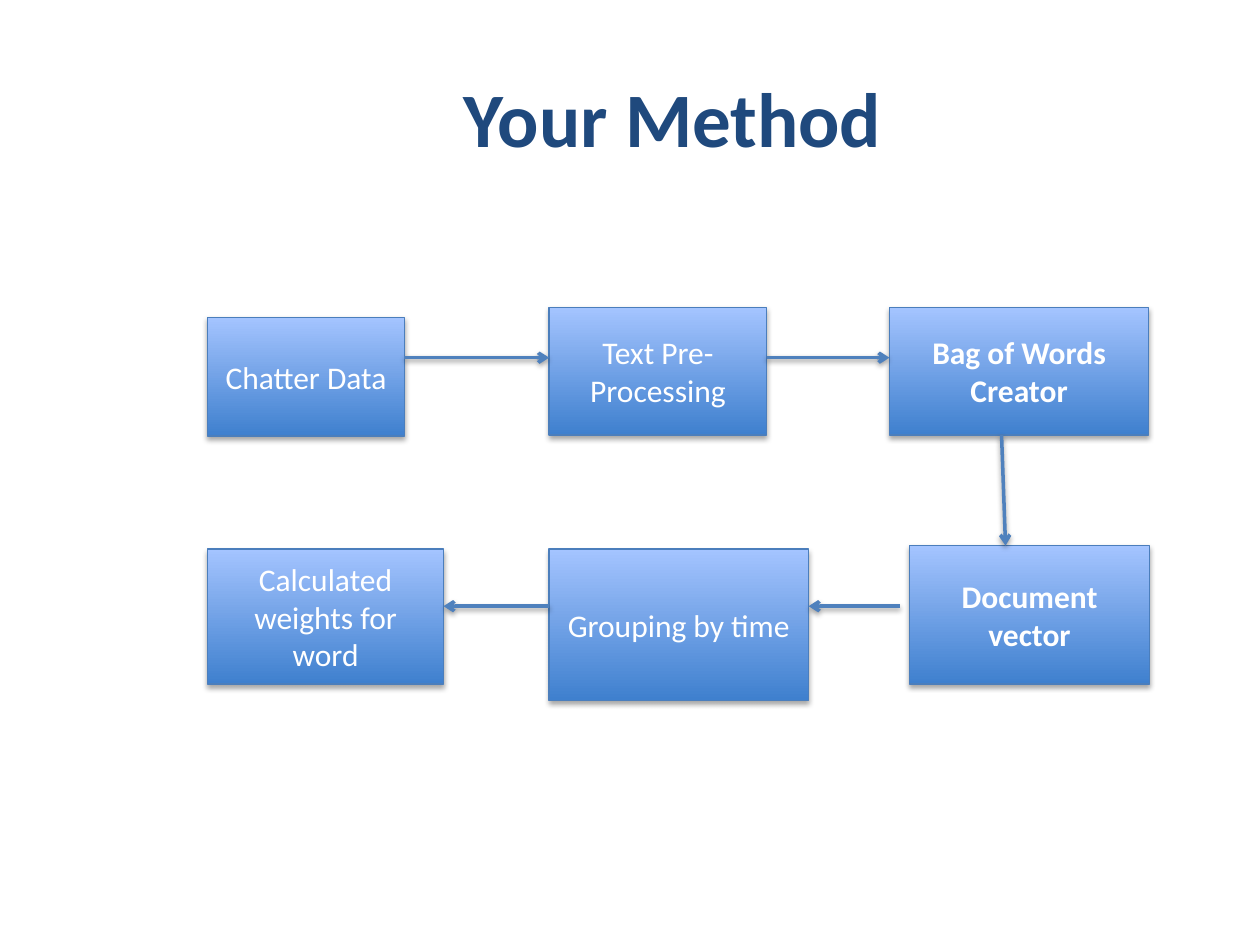
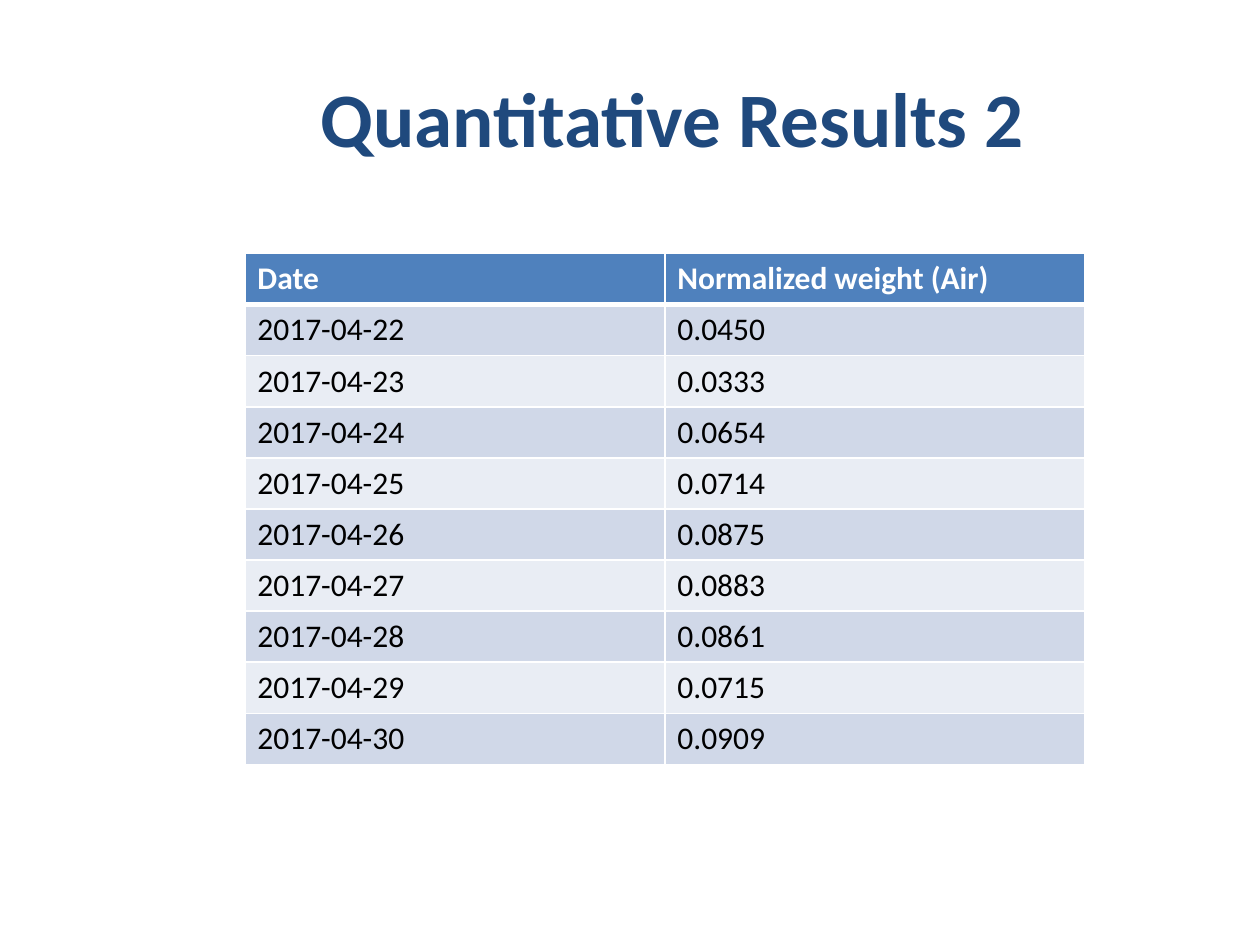
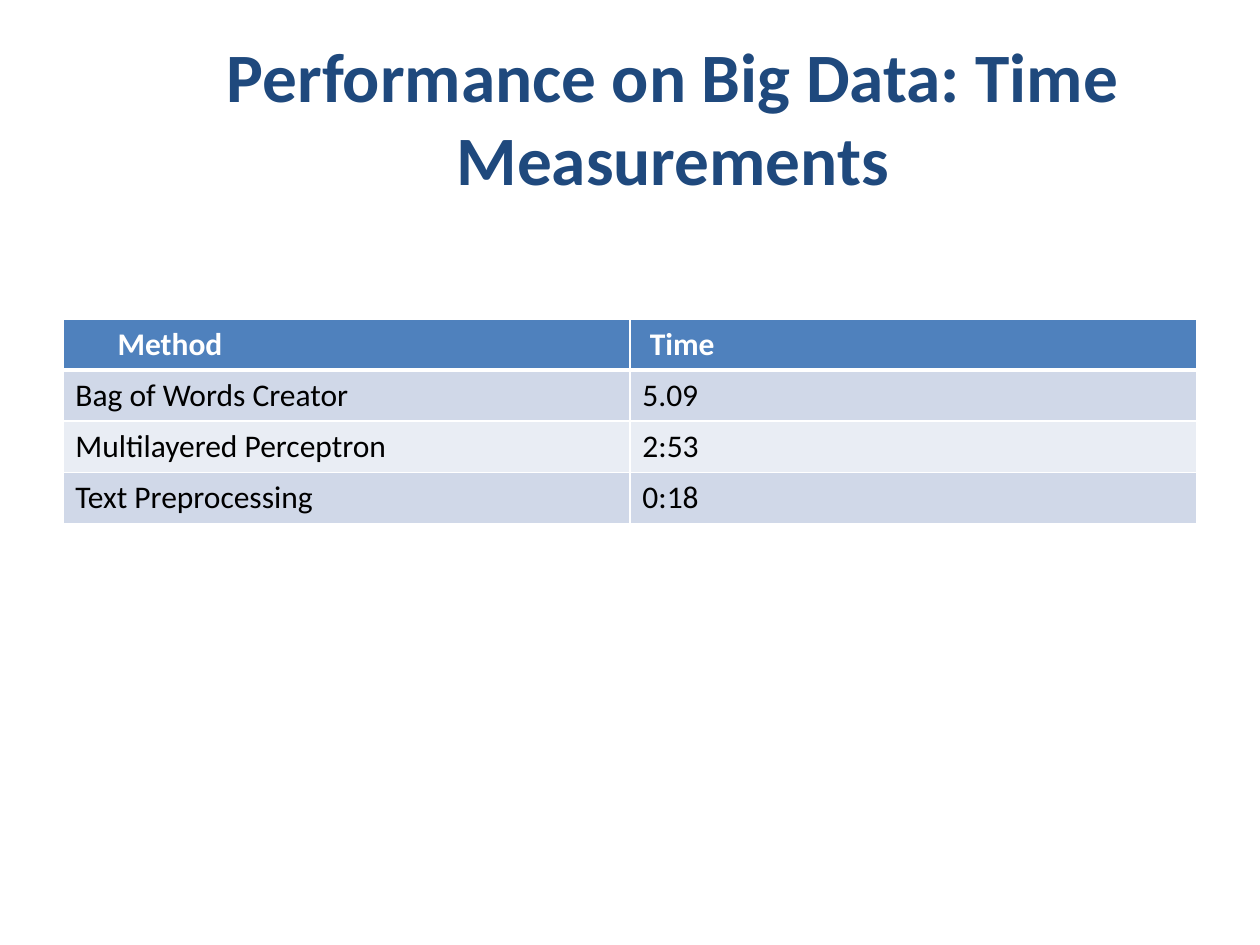
from lxml import etree
from pptx import Presentation
from pptx.dml.color import RGBColor
from pptx.enum.shapes import MSO_CONNECTOR as Connector, MSO_SHAPE as Preset
from pptx.enum.text import MSO_ANCHOR as Anchor, MSO_AUTO_SIZE as AutoSize, PP_ALIGN as Align
from pptx.oxml.ns import qn
from pptx.util import Cm, Pt

FONT = "Calibri"
WHITE = RGBColor(0xFF, 0xFF, 0xFF)
BLACK = RGBColor(0x00, 0x00, 0x00)
NAVY = RGBColor(0x1F, 0x49, 0x7D)
BLUE = RGBColor(0x4F, 0x81, 0xBD)
OUTLINE = RGBColor(0x4B, 0x7E, 0xBC)
GRADIENT = RGBColor(0x3F, 0x80, 0xCE), RGBColor(0xA4, 0xC4, 0xFF)
BANDS = RGBColor(0xD0, 0xD8, 0xE8), RGBColor(0xE9, 0xED, 0xF4)

TITLE_BOX = 3.0, 0.76, 21.13, 3.18  # left, top, width, height in cm
ROW_HEIGHT = 1.03
CELL_MARGIN = 0.25


def write(text_frame, text, size, color, bold=False, align=None):
    text_frame.text = text
    paragraph = text_frame.paragraphs[0]
    paragraph.alignment = align
    font = paragraph.runs[0].font
    font.name, font.size, font.bold = FONT, Pt(size), bold
    font.color.rgb = color


def add_shadow(shape, opacity, distance):
    """Soft black shadow straight below a shape or connector."""
    effects = etree.SubElement(shape._element.spPr, qn("a:effectLst"))
    shadow = etree.SubElement(effects, qn("a:outerShdw"), blurRad=str(Pt(3.1)),
                              dist=str(Pt(distance)), dir="5400000", rotWithShape="0")
    color = etree.SubElement(shadow, qn("a:srgbClr"), val=str(BLACK))
    etree.SubElement(color, qn("a:alpha"), val=str(opacity * 1000))


def add_titled_slide(presentation, text, size=44):
    slide = presentation.slides.add_slide(presentation.slide_layouts[5])
    title = slide.shapes.title
    title.left, title.top, title.width, title.height = map(Cm, TITLE_BOX)
    title.fill.solid()
    title.fill.fore_color.rgb = WHITE
    write(title.text_frame, text, size, NAVY, True, Align.CENTER)
    title.text_frame.auto_size = AutoSize.NONE
    title.text_frame.vertical_anchor = Anchor.MIDDLE
    return slide


def add_step(slide, left, top, width, height, text, bold):
    step = slide.shapes.add_shape(Preset.RECTANGLE, Cm(left), Cm(top), Cm(width), Cm(height))
    step.fill.gradient()
    step.fill.gradient_angle = 90
    for stop, color, position in zip(step.fill.gradient_stops, GRADIENT, (0, 1)):
        stop.color.rgb, stop.position = color, position
    step.line.color.rgb, step.line.width = OUTLINE, Pt(0.75)
    add_shadow(step, 35, 1.8)
    step.text_frame.word_wrap = True
    step.text_frame.vertical_anchor = Anchor.MIDDLE
    write(step.text_frame, text, 18, WHITE, bold, Align.CENTER)


def add_arrow(slide, *ends):
    arrow = slide.shapes.add_connector(Connector.STRAIGHT, *map(Cm, ends))
    arrow.line.color.rgb, arrow.line.width = BLUE, Pt(2)
    etree.SubElement(arrow.line._get_or_add_ln(), qn("a:tailEnd"), type="arrow")
    add_shadow(arrow, 38, 1.6)


def add_flow(slide, left, top):
    """Six steps: the upper row runs right, the lower row runs back left."""
    steps = [  # left, top, width, height, text, bold
        (0, 0.2, 3.96, 2.39, "Chatter Data", False),
        (6.88, 0, 4.39, 2.57, "Text Pre-Processing", False),
        (13.74, 0, 5.23, 2.57, "Bag of Words Creator", True),
        (14.15, 4.8, 4.83, 2.79, "Document vector", True),
        (6.88, 4.87, 5.23, 3.05, "Grouping by time", False),
        (0, 4.87, 4.75, 2.72, "Calculated weights for word", False),
    ]
    for x, y, *rest in steps:
        add_step(slide, left + x, top + y, *rest)

    data, cleaning, words, vector, grouping, weights = steps
    upper, lower = 1.01, 6.02  # heights of the arrows in each row
    arrows = [
        (data[0] + data[2], upper, cleaning[0], upper),
        (cleaning[0] + cleaning[2], upper, words[0], upper),
        (16, words[1] + words[3], 16.08, vector[1]),
        (vector[0] - 0.2, lower, grouping[0] + grouping[2], lower),
        (grouping[0], lower, weights[0] + weights[2], lower),
    ]
    for x1, y1, x2, y2 in arrows:
        add_arrow(slide, left + x1, top + y1, left + x2, top + y2)


def set_borders(cell, bottom):
    properties = cell._tc.get_or_add_tcPr()
    for index, (side, width) in enumerate((("L", 1), ("R", 1), ("T", 1), ("B", bottom))):
        line = etree.Element(qn(f"a:ln{side}"), w=str(Pt(width)))
        fill = etree.SubElement(line, qn("a:solidFill"))
        etree.SubElement(fill, qn("a:srgbClr"), val=str(WHITE))
        properties.insert(index, line)


def add_banded_table(slide, left, top, width, rows, anchor=Anchor.TOP, indents=(0, 0)):
    """Header row with optional indents, then rows in alternating bands."""
    columns = len(rows[0])
    table = slide.shapes.add_table(len(rows), columns, Cm(left), Cm(top), Cm(width),
                                   Cm(ROW_HEIGHT * len(rows))).table
    for row_index, row in enumerate(rows):
        header = row_index == 0
        for column, text in enumerate(row):
            cell = table.cell(row_index, column)
            cell.fill.solid()
            cell.fill.fore_color.rgb = BLUE if header else BANDS[(row_index - 1) % 2]
            cell.vertical_anchor = Anchor.TOP if header else anchor
            cell.margin_left = Cm(CELL_MARGIN + (indents[column] if header else 0))
            # The line under the header is thick on both sides of the edge
            set_borders(cell, 3 if header else 1)
            write(cell.text_frame, text, 18, WHITE if header else BLACK, header)
    for column in range(columns):  # header edge also belongs to the first body row
        edge = table.cell(1, column)._tc.tcPr.find(qn("a:lnT"))
        edge.set("w", str(Pt(3)))


presentation = Presentation()
presentation.slide_width, presentation.slide_height = Cm(25.4), Cm(19.05)

# Method
add_flow(add_titled_slide(presentation, "Your Method"), 4.19, 6.2)

# Daily weights
weights = ["0.0450", "0.0333", "0.0654", "0.0714", "0.0875",
           "0.0883", "0.0861", "0.0715", "0.0909"]
daily = [(f"2017-04-{day}", weight) for day, weight in enumerate(weights, 22)]
add_banded_table(add_titled_slide(presentation, "Quantitative Results 2"), 4.94, 5.11, 16.93,
                 [("Date", "Normalized weight (Air)"), *daily], Anchor.MIDDLE)

# Time measurements
timings = [
    ("Method", "Time"),
    ("Bag of Words Creator", "5.09"),
    ("Multilayered Perceptron", "2:53"),
    ("Text Preprocessing", "0:18"),
]
slide = add_titled_slide(presentation, "Performance on Big Data: Time Measurements", 39.6)
add_banded_table(slide, 1.27, 6.43, 22.86, timings, indents=(0.85, 0.15))

presentation.save("out.pptx")
